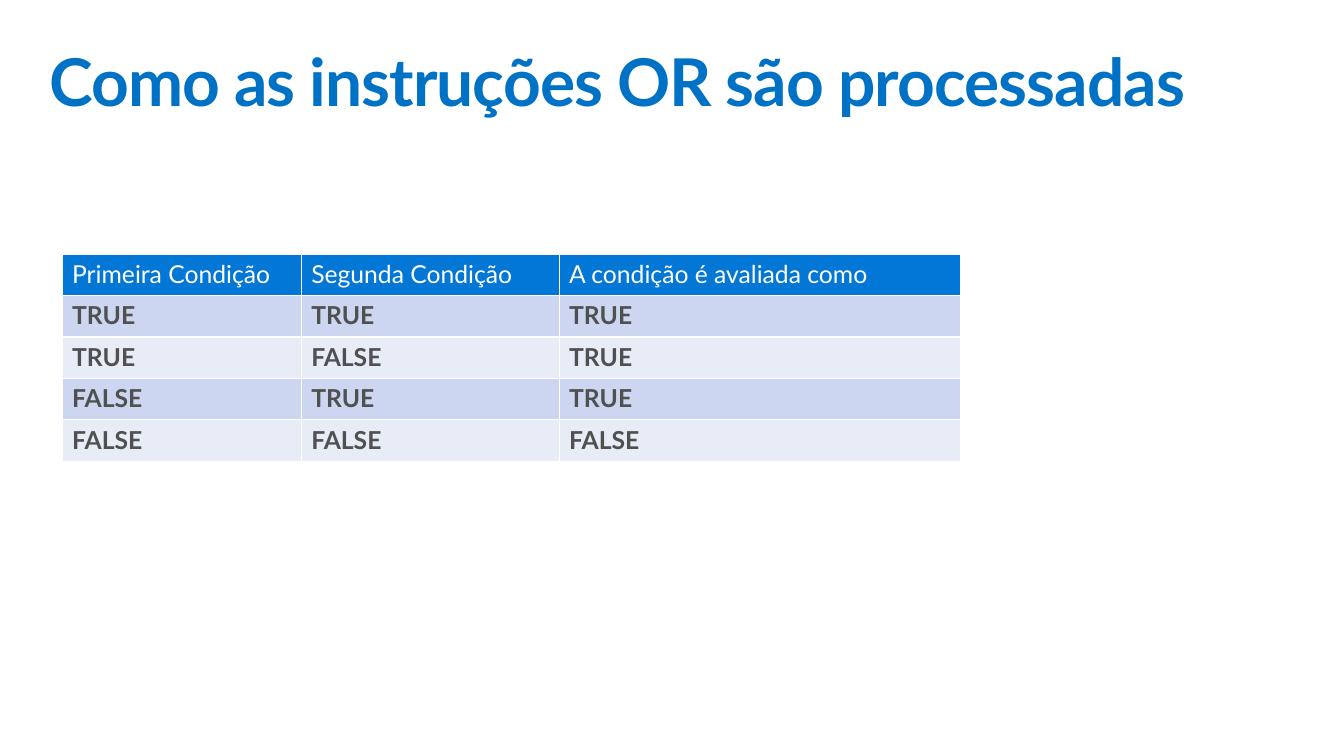
import pptx
import pptx.dml.color
import pptx.enum.text
import pptx.util

RGBColor = pptx.dml.color.RGBColor
WHITE = RGBColor(0xFF, 0xFF, 0xFF)
TITLE_BLUE = RGBColor(0x00, 0x72, 0xC6)
HEADER_BLUE = RGBColor(0x03, 0x77, 0xD6)
BAND_DARK = RGBColor(0xCC, 0xD6, 0xF0)
BAND_LIGHT = RGBColor(0xE7, 0xEC, 0xF7)
TEXT_GRAY = RGBColor(0x50, 0x50, 0x50)

FONT = "Lato"
EMU_PER_PX = 9144  # 100 px to the inch

COLUMN_WIDTHS = (242, 261, 406)
ROW_HEIGHT = 42
TRUTH_TABLE = (
    ("Primeira Condição", "Segunda Condição", "A condição é avaliada como"),
    ("TRUE", "TRUE", "TRUE"),
    ("TRUE", "FALSE", "TRUE"),
    ("FALSE", "TRUE", "TRUE"),
    ("FALSE", "FALSE", "FALSE"),
)


def px(length):
    return pptx.util.Emu(length * EMU_PER_PX)


def write_text(frame, text, *, size, color, bold=False, tracking=None, line_spacing=None):
    """Fill a text frame with one left-aligned paragraph; tracking is in 1/100 pt."""
    para = frame.paragraphs[0]
    para.alignment = pptx.enum.text.PP_ALIGN.LEFT
    para.line_spacing = line_spacing
    span = para.add_run()
    span.text = text
    span.font.name = FONT
    span.font.size = pptx.util.Pt(size)
    span.font.bold = bold
    span.font.color.rgb = color
    if tracking is not None:
        span.font._element.set("spc", str(tracking))


def place_title(page, text, left, top, width, height):
    title = page.shapes.title
    title.left, title.top = px(left), px(top)
    title.width, title.height = px(width), px(height)
    frame = title.text_frame
    frame.word_wrap = True
    frame.auto_size = pptx.enum.text.MSO_AUTO_SIZE.NONE
    frame.vertical_anchor = pptx.enum.text.MSO_ANCHOR.TOP
    frame.margin_left = frame.margin_right = px(10)
    frame.margin_top = frame.margin_bottom = px(10)
    write_text(frame, text, size=48, color=TITLE_BLUE, bold=True,
               tracking=-70, line_spacing=0.9)


def add_truth_table(page, left, top):
    """Add the table; the default table style supplies its white borders."""
    row_count = len(TRUTH_TABLE)
    table = page.shapes.add_table(
        row_count, len(COLUMN_WIDTHS), px(left), px(top),
        px(sum(COLUMN_WIDTHS)), px(ROW_HEIGHT * row_count)).table
    for column, width in zip(table.columns, COLUMN_WIDTHS):
        column.width = px(width)
    for index, labels in enumerate(TRUTH_TABLE):
        is_header = index == 0
        band = BAND_DARK if index % 2 else BAND_LIGHT
        table.rows[index].height = px(ROW_HEIGHT)
        for cell, label in zip(table.rows[index].cells, labels):
            cell.fill.solid()
            cell.fill.fore_color.rgb = HEADER_BLUE if is_header else band
            write_text(cell.text_frame, label, size=18, bold=not is_header,
                       color=WHITE if is_header else TEXT_GRAY)


def main():
    deck = pptx.Presentation()
    deck.slide_width, deck.slide_height = px(1360), px(765)
    page = deck.slides.add_slide(deck.slide_layouts.get_by_name("Title Only"))
    place_title(page, "Como as instruções OR são processadas", 40, 40, 1280, 100)
    add_truth_table(page, 63, 257)
    deck.save("out.pptx")


if __name__ == "__main__":
    main()
